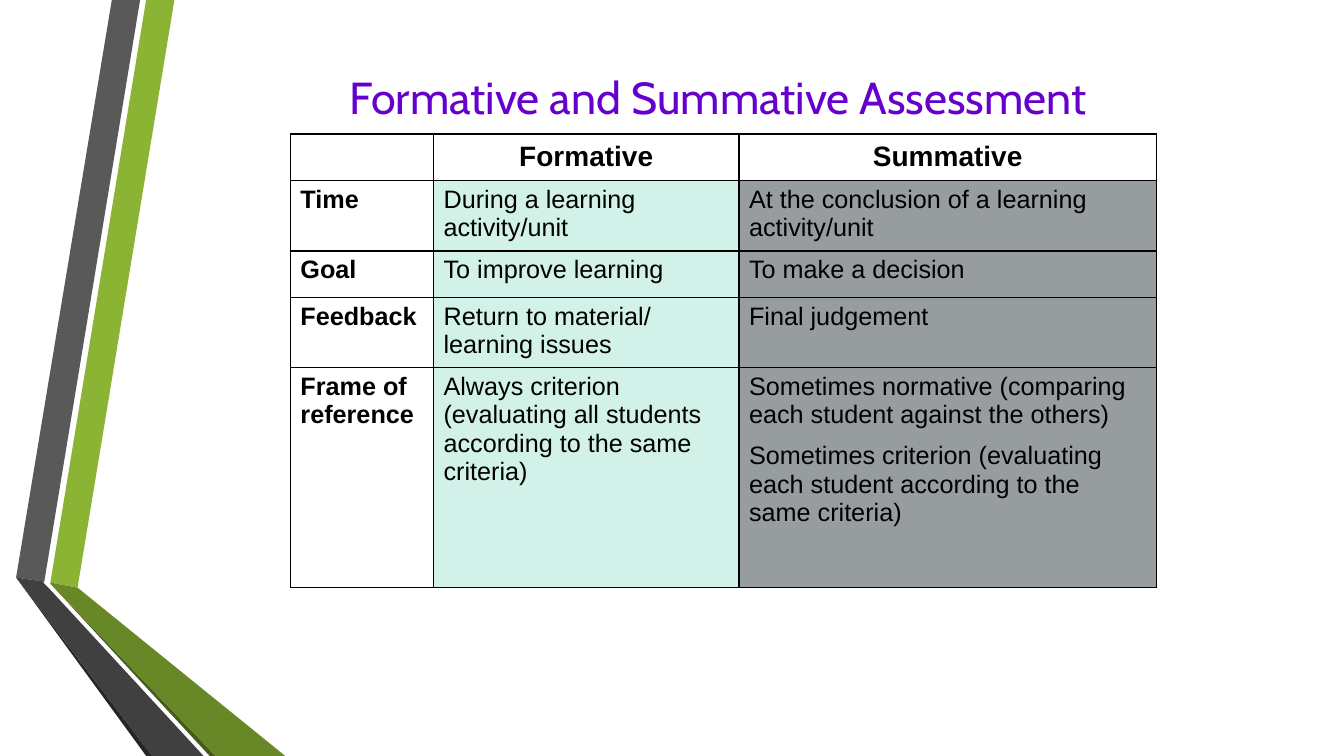
import pptx
import pptx.dml.color
import pptx.enum.text
import pptx.oxml
import pptx.oxml.ns
import pptx.util

Inches = pptx.util.Inches
Pt = pptx.util.Pt
ALIGN = pptx.enum.text.PP_ALIGN
ANCHOR = pptx.enum.text.MSO_ANCHOR

RIBBONS = [
    ("8BB434", [(0.5, 5.78), (0.77, 5.83), (1.73, 0), (1.45, 0)]),
    ("595959", [(1.39, 0), (1.11, 0), (0.16, 5.73), (0.44, 5.77)]),
    ("262626", [(0.16, 5.73), (1.45, 7.5), (1.51, 7.5)]),
    ("465A1A", [(0.5, 5.79), (2.08, 7.5), (2.14, 7.5)]),
    ("688727", [(0.5, 5.79), (2.14, 7.5), (2.83, 7.5), (0.77, 5.83), (0.5, 5.78)]),
    ("404040", [(2.02, 7.5), (0.48, 5.83), (0.43, 5.78), (0.44, 5.77),
                (0.16, 5.73), (1.51, 7.5)]),
]

COLS = [1.42, 3.03, 4.14]
ROWS = [0.46, 0.7, 0.46, 0.7, 2.18]
FILLS = [None, "D2F1E8", "979D9F"]
CELLS = [
    ["", "Formative", "Summative"],
    ["Time", "During a learning activity/unit",
     "At the conclusion of a learning activity/unit"],
    ["Goal", "To improve learning", "To make a decision"],
    ["Feedback", "Return to material/ learning issues", "Final judgement"],
    ["Frame of reference",
     "Always criterion (evaluating all students according to the same criteria)",
     "Sometimes normative (comparing each student against the others)\n"
     "Sometimes criterion (evaluating each student according to the same criteria)"],
]


def color(code):
    return pptx.dml.color.RGBColor.from_string(code)


def write(frame, text, size=18, font="Arial", ink="000000", bold=False,
          align=ALIGN.LEFT, after=0):
    """Fill a text frame, one paragraph a line, with a gap between them."""
    frame.word_wrap = True
    lines = text.split("\n")
    for i, line in enumerate(lines):
        para = frame.paragraphs[0] if i == 0 else frame.add_paragraph()
        para.alignment = align
        para.space_before = Pt(0)
        para.space_after = Pt(after if i < len(lines) - 1 else 0)
        para.font.size = Pt(size)
        if line:
            run = para.add_run()
            run.text = line
            run.font.name = font
            run.font.size = Pt(size)
            run.font.bold = bold
            run.font.color.rgb = color(ink)


def ribbon(slide, fill, points):
    start, *rest = [(Inches(x), Inches(y)) for x, y in points]
    path = slide.shapes.build_freeform(*start)
    path.add_line_segments(rest, close=True)
    shape = path.convert_to_shape()
    shape.shadow.inherit = False
    shape.fill.solid()
    shape.fill.fore_color.rgb = color(fill)
    shape.line.fill.background()


def border(cell, ink="000000", width=1):
    props = cell._tc.get_or_add_tcPr()
    for side in ("lnL", "lnR", "lnT", "lnB"):
        props.append(pptx.oxml.parse_xml(
            f'<a:{side} {pptx.oxml.ns.nsdecls("a")} w="{Pt(width)}">'
            f'<a:solidFill><a:srgbClr val="{ink}"/></a:solidFill></a:{side}>'))


def paint(cell, fill):
    if fill:
        cell.fill.solid()
        cell.fill.fore_color.rgb = color(fill)
    else:
        cell.fill.background()


def heading(slide, text):
    title = slide.shapes.title
    title.left, title.top = Inches(2.79), Inches(0.33)
    title.width, title.height = Inches(8.67), Inches(1.25)
    title.text_frame.vertical_anchor = ANCHOR.MIDDLE
    write(title.text_frame, text, size=32, font="Cabin", ink="6600CC",
          align=ALIGN.CENTER)


def grid(slide):
    table = slide.shapes.add_table(
        len(ROWS), len(COLS), Inches(2.88), Inches(1.33),
        Inches(sum(COLS)), Inches(sum(ROWS))).table
    table.horz_banding = False
    for col, width in zip(table.columns, COLS):
        col.width = Inches(width)
    for r, texts in enumerate(CELLS):
        table.rows[r].height = Inches(ROWS[r])
        head = r == 0
        for c, text in enumerate(texts):
            cell = table.cell(r, c)
            border(cell)
            paint(cell, None if head else FILLS[c])
            cell.vertical_anchor = ANCHOR.MIDDLE if head else ANCHOR.TOP
            write(cell.text_frame, text, size=20 if head else 18,
                  bold=head or c == 0, after=9,
                  align=ALIGN.CENTER if head else ALIGN.LEFT)


def main():
    deck = pptx.Presentation()
    deck.slide_width, deck.slide_height = Inches(13.33), Inches(7.5)
    slide = deck.slides.add_slide(deck.slide_layouts[5])
    for fill, points in RIBBONS:
        ribbon(slide, fill, points)
    heading(slide, "Formative and Summative Assessment")
    grid(slide)
    deck.save("out.pptx")


if __name__ == "__main__":
    main()
